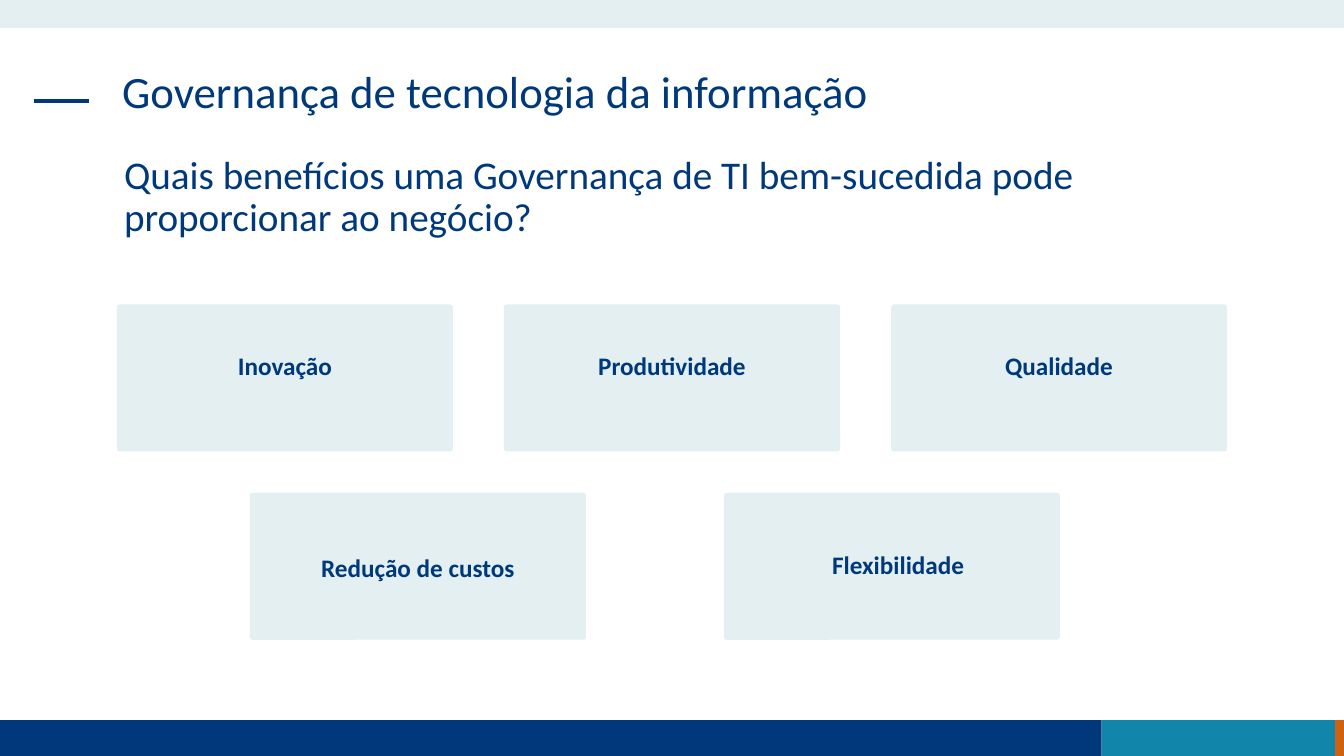
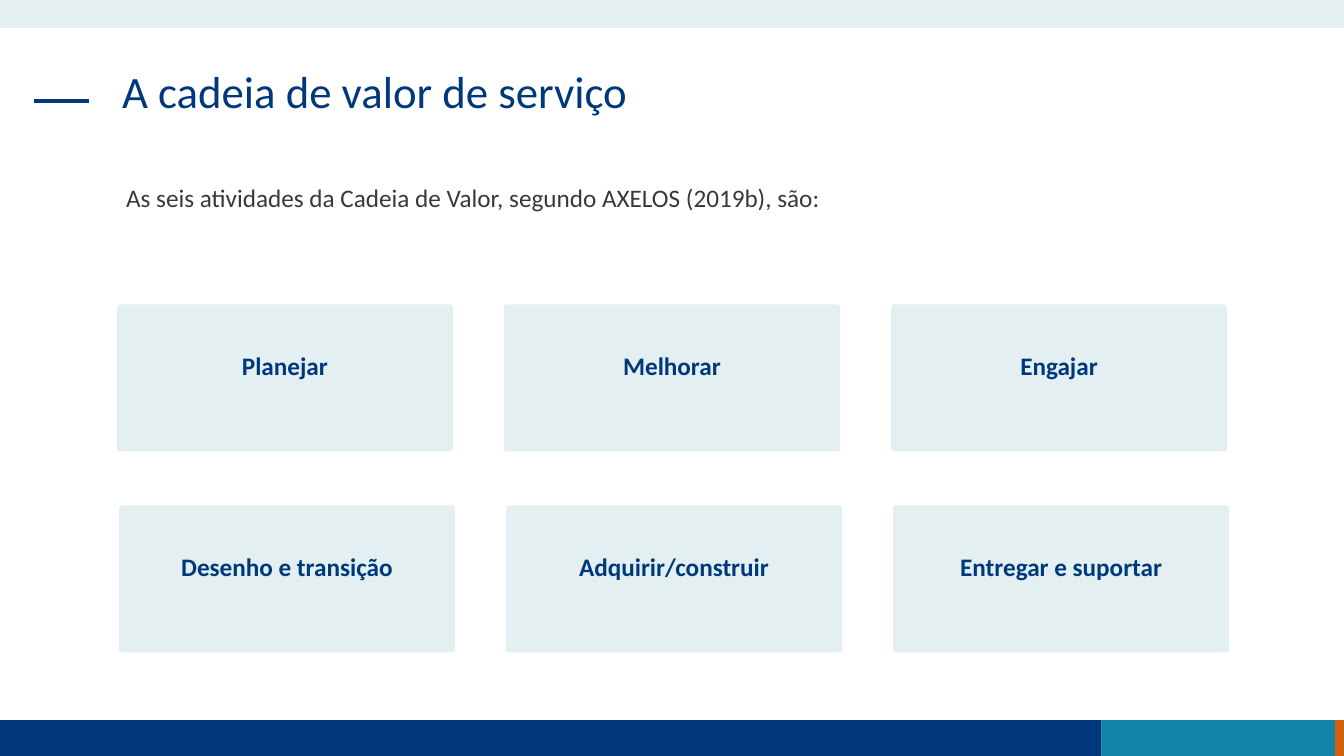
from lxml.etree import SubElement
from pptx import Presentation
from pptx.dml.color import RGBColor
from pptx.enum.shapes import MSO_CONNECTOR, MSO_SHAPE
from pptx.enum.text import MSO_ANCHOR, PP_ALIGN
from pptx.oxml.ns import qn
from pptx.util import Pt

COLORS = {"navy": "00397B", "teal": "1185AA", "orange": "D06110",
          "pale": "E3EFF1", "gray": "3B3838"}
FONT = "Calibri"
WIDTH, HEIGHT = 960, 540
CARD_W, CARD_H, CARD_RADIUS = 240, 105, 0.019
LABEL_TOP = 32.4

# Bands: left, top, width, height, colour
BANDS = [
    (930.5, 514.5, 29.5, 25.5, "orange"),
    (0, 514.5, 787, 25.5, "navy"),
    (787, 514.5, 166.5, 25.5, "teal"),
    (0, 0, WIDTH, 20, "pale"),
]
TITLE_BOX = (80, 46, 799, 68)
TITLE_STYLE = {"size": 32, "color": "navy", "line_spacing": 0.9}
LABEL_STYLE = {"size": 18, "color": "navy", "bold": True, "align": PP_ALIGN.CENTER}

# Card rows: left, top, pitch, then (label, text top, shift to the right)
SLIDES = [
    {
        "title": "Governança de tecnologia da informação",
        "lead": "Quais benefícios uma Governança de TI bem-sucedida pode "
                "proporcionar ao negócio?",
        "lead_box": (81.5, 107.5, 798.5, 42.5),
        "lead_style": {"size": 28, "color": "navy", "line_spacing": 0.9},
        "rows": [
            (83.5, 217.5, 276.5, [("Inovação", LABEL_TOP, 0),
                                  ("Produtividade", LABEL_TOP, 0),
                                  ("Qualidade", LABEL_TOP, 0)]),
            (178.5, 352, 338.5, [("Redução de custos", 42, 0),
                                 ("Flexibilidade", 39.6, 4.6)]),
        ],
    },
    {
        "title": "A cadeia de valor de serviço",
        "lead": "As seis atividades da Cadeia de Valor, segundo AXELOS (2019b), são:",
        "lead_box": (83, 126.5, 797, 29),
        "lead_style": {"size": 18, "color": "gray"},
        "rows": [
            (83.5, 217.5, 276.5, [("Planejar", LABEL_TOP, 0),
                                  ("Melhorar", LABEL_TOP, 0),
                                  ("Engajar", LABEL_TOP, 0)]),
            (85, 361, 276.5, [("Desenho e transição", LABEL_TOP, 0),
                              ("Adquirir/construir", LABEL_TOP, 0),
                              ("Entregar e suportar", LABEL_TOP, 0)]),
        ],
    },
]


def rgb(name):
    return RGBColor.from_string(COLORS[name])


def write(tf, text, size, color, bold=False, align=PP_ALIGN.LEFT, line_spacing=1.0):
    tf.word_wrap = True
    tf.vertical_anchor = MSO_ANCHOR.TOP
    p = tf.paragraphs[0]
    p.alignment, p.line_spacing = align, line_spacing
    r = p.add_run()
    r.text = text
    for name, value in {"name": FONT, "size": Pt(size), "bold": bold}.items():
        setattr(r.font, name, value)
    r.font.color.rgb = rgb(color)


def add_block(s, kind, box, color):
    sp = s.shapes.add_shape(kind, *map(Pt, box))
    sp.shadow.inherit = False
    sp.fill.solid()
    sp.fill.fore_color.rgb = rgb(color)
    sp.line.fill.background()
    return sp


def style_layout(layout, s):
    """Place the title and move the shared bands and dash from s to its layout."""
    for ph in list(layout.placeholders):
        if ph.placeholder_format.idx:
            ph.element.getparent().remove(ph.element)
        else:
            ph.left, ph.top, ph.width, ph.height = map(Pt, TITLE_BOX)
    shared = [add_block(s, MSO_SHAPE.RECTANGLE, box, color) for *box, color in BANDS]
    dash = s.shapes.add_connector(MSO_CONNECTOR.STRAIGHT, Pt(24), Pt(72), Pt(63.5), Pt(72))
    dash.line.color.rgb = rgb("navy")
    dash.line.width = Pt(3)
    SubElement(dash.element.spPr, qn("a:effectLst"))
    for sp in shared + [dash]:
        layout.shapes.element.append(sp.element)


def add_cards(s, left, top, pitch, labels):
    for i, (label, text_top, shift) in enumerate(labels):
        card = add_block(s, MSO_SHAPE.ROUNDED_RECTANGLE,
                         (left + i * pitch, top, CARD_W, CARD_H), "pale")
        card.adjustments[0] = CARD_RADIUS
        tf = card.text_frame
        tf.margin_top = Pt(text_top)
        tf.margin_left, tf.margin_right = Pt(7.2 + shift), Pt(7.2 - shift)
        write(tf, label, **LABEL_STYLE)


def main():
    prs = Presentation()
    prs.slide_width, prs.slide_height = Pt(WIDTH), Pt(HEIGHT)
    layout = prs.slide_layouts.get_by_name("Title Only")
    for i, content in enumerate(SLIDES):
        s = prs.slides.add_slide(layout)
        if i == 0:
            style_layout(layout, s)
        write(s.shapes.title.text_frame, content["title"], **TITLE_STYLE)
        lead = s.shapes.add_textbox(*map(Pt, content["lead_box"]))
        write(lead.text_frame, content["lead"], **content["lead_style"])
        for row in content["rows"]:
            add_cards(s, *row)
    prs.save("out.pptx")


if __name__ == "__main__":
    main()
